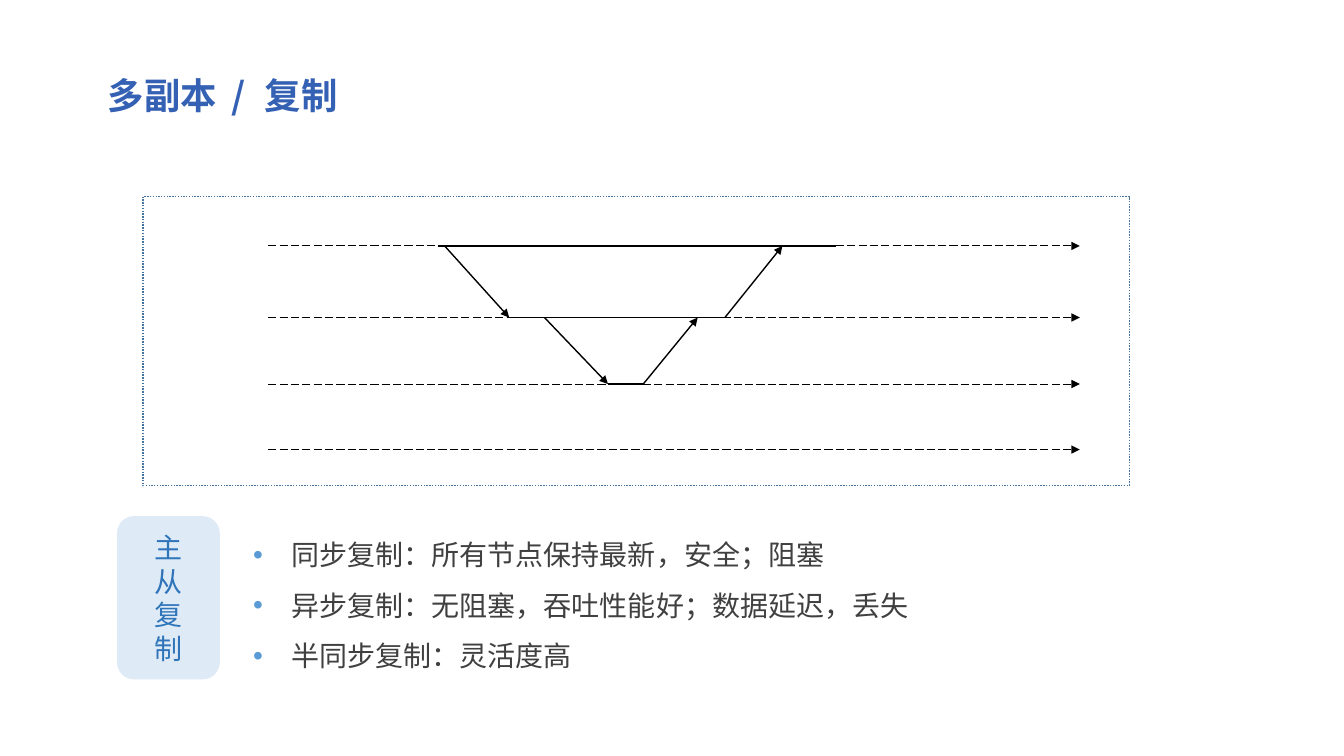
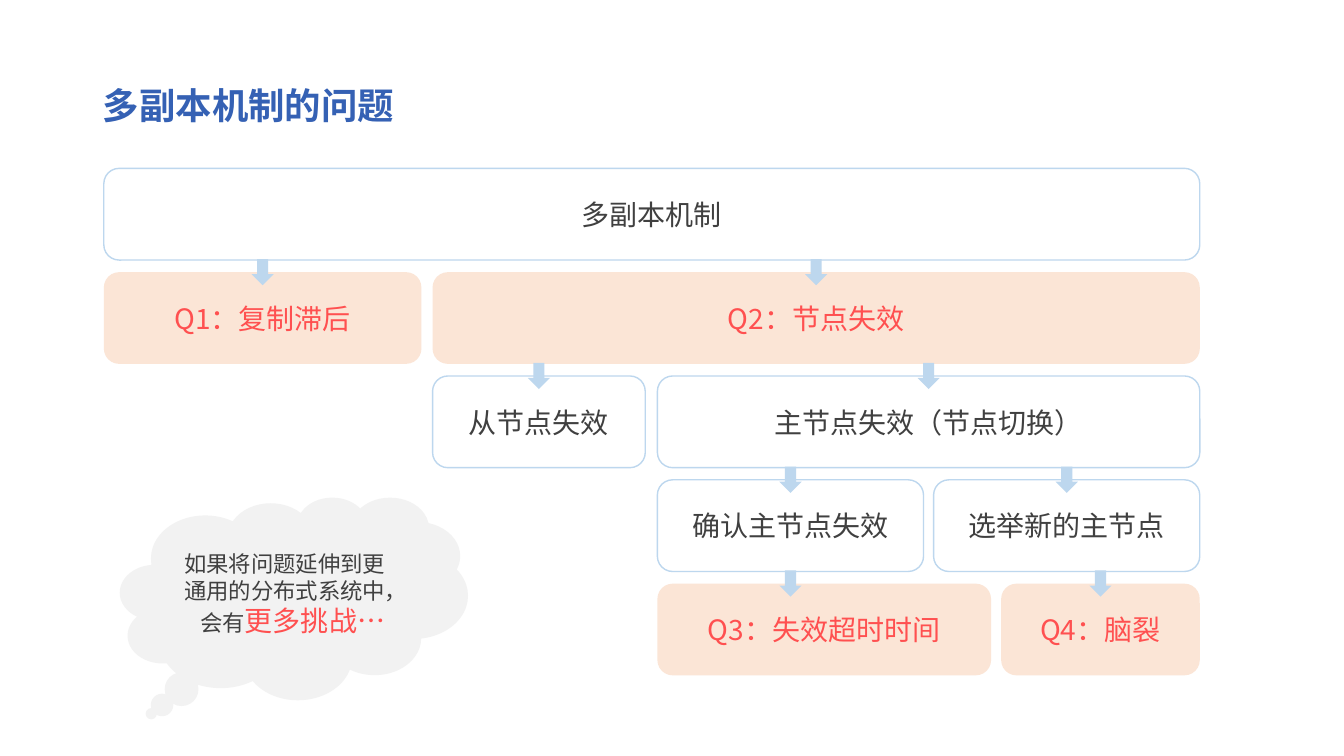
import pptx
import pptx.util
import pptx.dml.color
import pptx.enum.dml
import pptx.enum.lang
import pptx.enum.shapes
import pptx.enum.text
import pptx.oxml
import pptx.oxml.ns

Inches = pptx.util.Inches
Pt = pptx.util.Pt
SHAPE = pptx.enum.shapes.MSO_SHAPE
ALIGN = pptx.enum.text.PP_ALIGN
ANCHOR = pptx.enum.text.MSO_ANCHOR
DASH = pptx.enum.dml.MSO_LINE

FONT = "Noto Sans CJK SC"
COLORS = {
    "title": "3561B4", "text": "404040", "alert": "FF5050", "label": "3075BA",
    "bullet": "5B9BD5", "frame": "43739E", "line": "000000", "outline": "BDD7EE",
    "alert_fill": "FBE5D6", "label_fill": "DEEBF7", "cloud": "F2F2F2",
}
BOX_STYLES = {
    "plain": {"line": "outline", "color": "text"},
    "alert": {"fill": "alert_fill", "color": "alert"},
}


def rgb(name):
    return pptx.dml.color.RGBColor.from_string(COLORS[name])


def set_attrs(obj, values):
    for name, value in values.items():
        setattr(obj, name, value)


def place(sp, box):
    set_attrs(sp, dict(zip(("left", "top", "width", "height"), map(Inches, box))))


def add_xml(parent, tag, **attrs):
    el = pptx.oxml.parse_xml(f"<a:{tag} {pptx.oxml.ns.nsdecls('a')}/>")
    for name, value in attrs.items():
        el.set(name, str(value))
    parent.append(el)
    return el


def add_run(p, text, size=20, color="text", bold=False):
    r = p.add_run()
    r.text = text
    r.font.color.rgb = rgb(color)
    set_attrs(r.font, {
        "size": Pt(size), "bold": bold, "name": FONT,
        "language_id": pptx.enum.lang.MSO_LANGUAGE_ID.SIMPLIFIED_CHINESE,
    })
    add_xml(r.font._element, "ea", typeface=FONT)
    return r


def add_box(s, kind, box, fill=None, line=None, dash=None, color="text", paragraphs=()):
    sp = s.shapes.add_shape(kind, *map(Inches, box))
    sp.shadow.inherit = False
    if fill:
        sp.fill.solid()
        sp.fill.fore_color.rgb = rgb(fill)
    else:
        sp.fill.background()
    if line:
        sp.line.color.rgb = rgb(line)
        set_attrs(sp.line, {"width": Pt(1), "dash_style": dash})
    else:
        sp.line.fill.background()
    tf = sp.text_frame
    set_attrs(tf, {"word_wrap": True, "vertical_anchor": ANCHOR.MIDDLE})
    for i, text in enumerate(paragraphs):
        p = tf.add_paragraph() if i else tf.paragraphs[0]
        p.alignment = ALIGN.CENTER
        add_run(p, text, color=color)
    return sp


def add_line(s, start, end, width=1, dash=None, arrow=False):
    c = s.shapes.add_connector(pptx.enum.shapes.MSO_CONNECTOR.STRAIGHT,
                               *map(Inches, (*start, *end)))
    c.line.color.rgb = rgb("line")
    set_attrs(c.line, {"width": Pt(width), "dash_style": dash})
    if arrow:
        add_xml(c.line._get_or_add_ln(), "tailEnd", type="triangle")
    add_xml(c._element.spPr, "effectLst")


def fill_title(s, box, parts):
    sp = s.shapes.title
    place(sp, box)
    set_attrs(sp.text_frame, {
        "word_wrap": True, "vertical_anchor": ANCHOR.TOP,
        "auto_size": pptx.enum.text.MSO_AUTO_SIZE.NONE,
    })
    p = sp.text_frame.paragraphs[0]
    p.alignment = ALIGN.LEFT
    for text, spacing in parts:
        r = add_run(p, text, 26, "title", True)
        if spacing:
            r.font._element.set("spc", str(spacing))


def fill_bullets(sp, box, items):
    place(sp, box)
    tf = sp.text_frame
    set_attrs(tf, {
        "word_wrap": True, "vertical_anchor": ANCHOR.TOP,
        "auto_size": pptx.enum.text.MSO_AUTO_SIZE.NONE,
    })
    indent = Inches(0.38)
    for i, item in enumerate(items):
        p = tf.add_paragraph() if i else tf.paragraphs[0]
        set_attrs(p, {"alignment": ALIGN.LEFT, "line_spacing": 1.5,
                      "space_before": Pt(0), "space_after": Pt(0)})
        pPr = p._p.get_or_add_pPr()
        pPr.set("marL", str(indent))
        pPr.set("indent", str(-indent))
        add_xml(add_xml(pPr, "buClr"), "srgbClr", val=COLORS["bullet"])
        add_xml(pPr, "buFont", typeface="Arial")
        add_xml(pPr, "buChar", char="•")
        add_run(p, item)


def draw_sequence(s, box):
    left, top = box[:2]
    lanes = (0.49, 1.2, 1.86, 2.51)
    busy = ((2.92, 6.87), (3.63, 5.77), (4.61, 4.96))
    messages = ((2.99, 0, 3.63, 1), (3.98, 1, 4.61, 2),
                (4.96, 2, 5.5, 1), (5.77, 1, 6.34, 0))

    def at(x, lane):
        return left + x, top + lanes[lane]

    add_box(s, SHAPE.RECTANGLE, box, line="frame", dash=DASH.ROUND_DOT)
    for lane in range(len(lanes)):
        add_line(s, at(1.24, lane), at(9.29, lane), 0.75, DASH.LONG_DASH, True)
    for lane, (start, end) in enumerate(busy):
        add_line(s, at(start, lane), at(end, lane))
    for x1, lane1, x2, lane2 in messages:
        add_line(s, at(x1, lane1), at(x2, lane2), arrow=True)


def draw_problem_tree(s, box):
    left, top, width, height = box
    right, row_step = left + width, 1.03
    row_height = height - 4 * row_step
    col2, col3 = left + 3.26, left + 5.49
    nodes = (
        (0, left, right, "多副本机制", "plain"),
        (1, left, left + 3.15, "Q1：复制滞后", "alert"),
        (1, col2, right, "Q2：节点失效", "alert"),
        (2, col2, col2 + 2.11, "从节点失效", "plain"),
        (2, col3, right, "主节点失效（节点切换）", "plain"),
        (3, col3, col3 + 2.64, "确认主节点失效", "plain"),
        (3, right - 2.64, right, "选举新的主节点", "plain"),
        (4, col3, col3 + 3.31, "Q3：失效超时时间", "alert"),
        (4, right - 1.97, right, "Q4：脑裂", "alert"),
    )
    arrow_x = {"Q3：失效超时时间": col3 + 1.32}
    for row, x1, x2, text, style in nodes:
        add_box(s, SHAPE.ROUNDED_RECTANGLE,
                (x1, top + row * row_step, x2 - x1, row_height),
                paragraphs=[text], **BOX_STYLES[style])
    for row, x1, x2, text, style in nodes[1:]:
        x = arrow_x.get(text, (x1 + x2) / 2)
        add_box(s, SHAPE.DOWN_ARROW,
                (x - 0.11, top + row * row_step - 0.13, 0.22, 0.26), fill="outline")


def draw_cloud(s, box):
    sp = add_box(s, SHAPE.CLOUD_CALLOUT, box, fill="cloud")
    sp.adjustments[0], sp.adjustments[1] = -0.41, 0.57
    p = sp.text_frame.paragraphs[0]
    p.alignment = ALIGN.RIGHT
    add_run(p, "如果将问题延伸到更通用的分布式系统中，会有", 16)
    add_run(p, "更多挑战…", 20, "alert")


def build_replication(prs):
    s = prs.slides.add_slide(prs.slide_layouts[1])
    fill_title(s, (0.97, 0.68, 11.57, 0.54),
               (("多副本", 0), (" / ", 400), ("复制", 0)))
    draw_sequence(s, (1.42, 1.95, 9.78, 2.87))
    fill_bullets(s.placeholders[1], (2.41, 5.12, 8.94, 1.62), (
        "同步复制：所有节点保持最新，安全；阻塞",
        "异步复制：无阻塞，吞吐性能好；数据延迟，丢失",
        "半同步复制：灵活度高",
    ))
    add_box(s, SHAPE.ROUNDED_RECTANGLE, (1.16, 5.12, 1.02, 1.62),
            fill="label_fill", color="label", paragraphs="主从复制")


def build_problems(prs):
    s = prs.slides.add_slide(prs.slide_layouts[5])
    fill_title(s, (0.92, 0.77, 10.82, 0.54), (("多副本机制的问题", 0),))
    draw_problem_tree(s, (1.03, 1.67, 10.87, 5.03))
    draw_cloud(s, (1.19, 4.93, 3.45, 2.01))


prs = pptx.Presentation()
set_attrs(prs, {"slide_width": Inches(13.33), "slide_height": Inches(7.5)})
build_replication(prs)
build_problems(prs)
prs.save("out.pptx")
